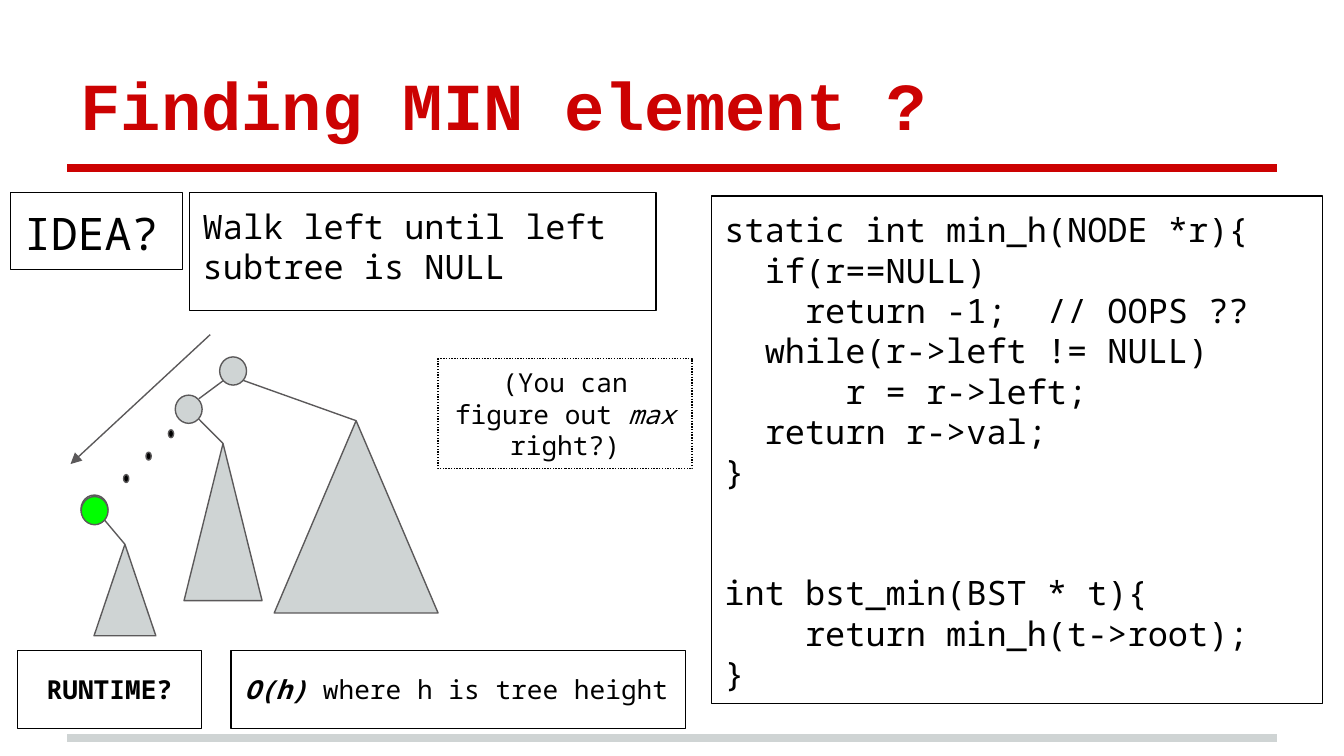
from dataclasses import dataclass

from lxml import etree
from pptx import Presentation
from pptx.dml.color import RGBColor
from pptx.enum.dml import MSO_LINE
from pptx.enum.shapes import MSO_CONNECTOR, MSO_SHAPE
from pptx.enum.text import MSO_ANCHOR, PP_ALIGN
from pptx.oxml.ns import qn
from pptx.util import Pt

RECTANGLE, OVAL = MSO_SHAPE.RECTANGLE, MSO_SHAPE.OVAL
TRIANGLE = MSO_SHAPE.ISOSCELES_TRIANGLE
STRAIGHT = MSO_CONNECTOR.STRAIGHT
DOTTED = MSO_LINE.ROUND_DOT
TOP, MIDDLE, BOTTOM = MSO_ANCHOR.TOP, MSO_ANCHOR.MIDDLE, MSO_ANCHOR.BOTTOM
LEFT, CENTER = PP_ALIGN.LEFT, PP_ALIGN.CENTER

RED = RGBColor(0xCC, 0x02, 0x02)
GRAY = RGBColor(0xCF, 0xD4, 0xD4)
DARK_GRAY = RGBColor(0x5B, 0x59, 0x5A)
BLACK = RGBColor(0, 0, 0)
GREEN = RGBColor(0, 0xFF, 0)

TITLE_FONT, BODY_FONT = "Courier New", "Noto Sans Mono"
THIN, THICK = 0.75, 4
APEX = 0


@dataclass(frozen=True)
class Area:
    left: float
    top: float
    width: float
    height: float

    def lengths(self):
        return Pt(self.left), Pt(self.top), Pt(self.width), Pt(self.height)


@dataclass(frozen=True)
class Span:
    text: str
    bold: bool = False
    italic: bool = False


@dataclass(frozen=True)
class Paragraph:
    spans: tuple[Span, ...]
    space_before: float = 0


@dataclass(frozen=True)
class TextBox:
    area: Area
    paragraphs: tuple[Paragraph, ...]
    size: float
    anchor: MSO_ANCHOR = TOP
    align: PP_ALIGN = LEFT
    dotted: bool = False


@dataclass(frozen=True)
class Subtree:
    area: Area
    branch_start: tuple[float, float]


def plain(text: str, space_before: float = 0) -> Paragraph:
    return Paragraph((Span(text),), space_before)


def fill_text(box, paragraphs, size, font, color, anchor, align) -> None:
    frame = box.text_frame
    frame.word_wrap = True
    frame.vertical_anchor = anchor
    frame.margin_left = frame.margin_right = Pt(7.2)
    frame.margin_top = frame.margin_bottom = Pt(7.2)
    for index, paragraph in enumerate(paragraphs):
        para = frame.add_paragraph() if index else frame.paragraphs[0]
        para.alignment = align
        if paragraph.space_before:
            para.space_before = Pt(paragraph.space_before)
        for span in paragraph.spans:
            run = para.add_run()
            run.text = span.text
            run.font.name = font
            run.font.size = Pt(size)
            run.font.color.rgb = color
            run.font.bold = span.bold
            run.font.italic = span.italic


def add_figure(page, kind: MSO_SHAPE, area: Area, fill: RGBColor | None,
               line: RGBColor = DARK_GRAY):
    figure = page.shapes.add_shape(kind, *area.lengths())
    figure.shadow.inherit = False
    if fill is None:
        figure.fill.background()
    else:
        figure.fill.solid()
        figure.fill.fore_color.rgb = fill
    figure.line.color.rgb = line
    figure.line.width = Pt(THIN)
    return figure


def add_text_box(page, box: TextBox) -> None:
    figure = add_figure(page, RECTANGLE, box.area, None, BLACK)
    if box.dotted:
        figure.line.dash_style = DOTTED
    fill_text(figure, box.paragraphs, box.size, BODY_FONT, BLACK,
              box.anchor, box.align)


def add_line(page, start: tuple[float, float], end: tuple[float, float],
             color: RGBColor = DARK_GRAY, width: float = THIN):
    line = page.shapes.add_connector(
        STRAIGHT, Pt(start[0]), Pt(start[1]), Pt(end[0]), Pt(end[1]))
    line.line.color.rgb = color
    line.line.width = Pt(width)
    etree.SubElement(line._element.spPr, qn("a:effectLst"))
    return line


def add_node(page, left: float, top: float, fill: RGBColor = GRAY) -> None:
    add_figure(page, OVAL, Area(left, top, 14.4, 15.1), fill)


CODE = (
    plain("static int min_h(NODE *r){"),
    plain("  if(r==NULL)"),
    plain("    return -1;  // OOPS ??"),
    plain("  while(r->left != NULL)"),
    plain("      r = r->left;"),
    plain("  return r->val;"),
    plain("}"),
    plain("int bst_min(BST * t){", space_before=43.2),
    plain("    return min_h(t->root);"),
    plain("}"),
)

TEXT_BOXES = (
    TextBox(Area(381, 105, 327.5, 272), CODE, 18),
    TextBox(Area(5.8, 103, 92, 41.5), (plain("IDEA?"),), 24),
    TextBox(Area(101.5, 103, 250, 63.5),
            (plain("Walk left until left subtree is NULL"),), 18),
    TextBox(Area(9.4, 348.5, 98.6, 41.8),
            (Paragraph((Span("RUNTIME?", bold=True),)),), 14, MIDDLE, CENTER),
    TextBox(Area(123.8, 348.5, 243.4, 41.8),
            (Paragraph((Span("O(h)", bold=True, italic=True),
                        Span(" where h is tree height"))),), 14, MIDDLE),
    TextBox(Area(234.7, 192.2, 136.1, 59),
            (Paragraph((Span("(You can figure out "), Span("max", italic=True),
                        Span(" right?)"))),), 14, MIDDLE, CENTER, dotted=True),
)

SUBTREES = (
    Subtree(Area(146.9, 225.4, 87.8, 103), (130.3, 203.8)),
    Subtree(Area(98.6, 237.6, 41.8, 84.2), (106.6, 224.6)),
    Subtree(Area(50.4, 291.6, 33.1, 49), (55.4, 277.9)),
)

deck = Presentation()
deck.slide_width, deck.slide_height = Pt(720), Pt(405)
page = deck.slides.add_slide(deck.slide_layouts[6])

# Rules and title
for y, color in ((395.3, GRAY), (90, RED)):
    add_line(page, (36, y), (684, y), color, THICK)
title = page.shapes.add_textbox(*Area(36, 16.6, 648, 67.7).lengths())
fill_text(title, (Paragraph((Span("Finding MIN element ?", bold=True),)),),
          36, TITLE_FONT, RED, BOTTOM, LEFT)

# Code and explanations
for text_box in TEXT_BOXES:
    add_text_box(page, text_box)

# Tree nodes along the left path
for left, top in ((117.7, 191.2), (93.9, 211.7), (43.4, 265.2)):
    add_node(page, left, top)
for step in range(3):
    add_figure(page, OVAL, Area(90.2 - 12 * step, 230.3 + 12 * step, 2.8, 4.2),
               BLACK)

# Subtrees with their branches
for subtree in SUBTREES:
    triangle = add_figure(page, TRIANGLE, subtree.area, GRAY)
    apex = (subtree.area.left + subtree.area.width / 2, subtree.area.top)
    branch = add_line(page, subtree.branch_start, apex)
    branch.end_connect(triangle, APEX)
add_line(page, (119.8, 203.8), (106.6, 213.6))

# Walking direction and the minimum node
arrow = add_line(page, (112.6, 179.3), (37.8, 248.6))
etree.SubElement(arrow.line._get_or_add_ln(), qn("a:tailEnd"), type="triangle")
add_node(page, 43.5, 266, GREEN)

deck.save("out.pptx")
